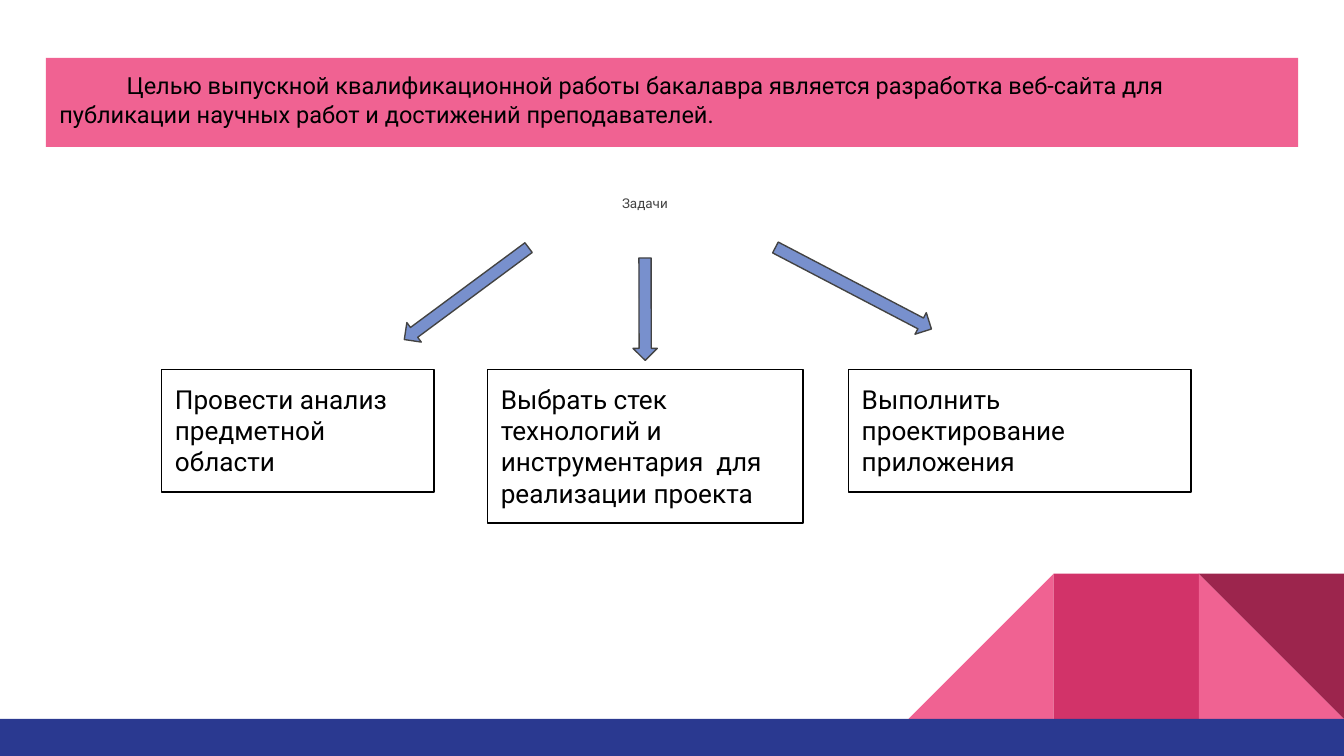
from pptx import Presentation
from pptx.dml.color import RGBColor
from pptx.enum.shapes import MSO_SHAPE as Preset
from pptx.enum.text import MSO_ANCHOR as Anchor, MSO_AUTO_SIZE as AutoSize, PP_ALIGN as Align
from pptx.util import Pt

WHITE = RGBColor(0xFF, 0xFF, 0xFF)
BLACK = RGBColor(0x00, 0x00, 0x00)
GRAY = RGBColor(0x43, 0x43, 0x43)
PINK = RGBColor(0xF0, 0x62, 0x92)
CRIMSON = RGBColor(0xD2, 0x33, 0x69)
MAROON = RGBColor(0x9C, 0x25, 0x4D)
NAVY = RGBColor(0x2A, 0x39, 0x90)
BLUE = RGBColor(0x78, 0x90, 0xCD)

FONT = "Roboto"
SLIDE_WIDTH, SLIDE_HEIGHT = 720, 405
BAND_TOP = 385.1
TILE = 77.75
TASK_TOP = 198

GOAL = ("Целью выпускной квалификационной работы бакалавра является разработка "
        "веб-сайта для публикации научных работ и достижений преподавателей.")
TASKS = [
    (86.6, 146, 65.5, "Провести анализ предметной области"),
    (261.2, 169, 82.3, "Выбрать стек технологий и инструментария  для реализации проекта"),
    (454.6, 183.4, 65.5, "Выполнить проектирование приложения"),
]
ARROWS = [
    (243.4, 115.9, 82.8, 233.5),
    (339.1, 138.2, 54.9, 179.9),
    (450.7, 107.3, 94.3, 117.6),
]


def add_block(slide, preset, left, top, width, height, fill=None, line=None, rotation=0):
    block = slide.shapes.add_shape(preset, Pt(left), Pt(top), Pt(width), Pt(height))
    block.shadow.inherit = False
    block.rotation = rotation
    if fill is None:
        block.fill.background()
    else:
        block.fill.solid()
        block.fill.fore_color.rgb = fill
    if line is None:
        block.line.fill.background()
    else:
        block.line.color.rgb = line
        block.line.width = Pt(0.75)
    return block


def write_text(frame, text, size, color, align=Align.LEFT, auto_size=AutoSize.NONE):
    frame.word_wrap = True
    frame.auto_size = auto_size
    frame.vertical_anchor = Anchor.TOP
    frame.margin_left = frame.margin_right = Pt(7.2)
    frame.margin_top = frame.margin_bottom = Pt(7.2)
    paragraph = frame.paragraphs[0]
    paragraph.alignment = align
    run = paragraph.add_run()
    run.text = text
    run.font.name = FONT
    run.font.size = Pt(size)
    run.font.color.rgb = color
    return paragraph


def add_decor(slide):
    tiles = [
        (3, Preset.RIGHT_TRIANGLE, PINK, 270),
        (2, Preset.RECTANGLE, CRIMSON, 0),
        (1, Preset.RIGHT_TRIANGLE, PINK, 0),
        (1, Preset.RIGHT_TRIANGLE, MAROON, 180),
    ]
    for from_right, preset, color, rotation in tiles:
        add_block(slide, preset, SLIDE_WIDTH - from_right * TILE, BAND_TOP - TILE,
                  TILE, TILE, color, rotation=rotation)
    add_block(slide, Preset.RECTANGLE, 0, BAND_TOP, SLIDE_WIDTH, SLIDE_HEIGHT - BAND_TOP, NAVY)


def add_goal(slide):
    goal = slide.shapes.title
    goal.left, goal.top, goal.width, goal.height = Pt(24.6), Pt(31), Pt(670.8), Pt(47.7)
    goal.fill.solid()
    goal.fill.fore_color.rgb = PINK
    paragraph = write_text(goal.text_frame, GOAL, 12.6, BLACK)
    properties = paragraph._p.get_or_add_pPr()
    properties.set("marL", "0")
    properties.set("indent", str(Pt(36)))


def add_heading(slide):
    heading = slide.shapes.add_textbox(Pt(10), Pt(97.9), Pt(671), Pt(34.6))
    paragraph = write_text(heading.text_frame, "Задачи", 7.2, GRAY, Align.CENTER)
    paragraph.line_spacing = 0.95
    paragraph.space_after = Pt(12)


def add_arrow(slide, left, top, length, rotation):
    arrow = add_block(slide, Preset.UP_ARROW, left, top, 13, length, BLUE, GRAY, rotation)
    arrow.adjustments[0] = 0.5
    arrow.adjustments[1] = 0.5


def add_task(slide, left, width, height, text):
    task = add_block(slide, Preset.RECTANGLE, left, TASK_TOP, width, height, line=BLACK)
    write_text(task.text_frame, text, 14, BLACK, auto_size=AutoSize.SHAPE_TO_FIT_TEXT)


def main():
    deck = Presentation()
    deck.slide_width, deck.slide_height = Pt(SLIDE_WIDTH), Pt(SLIDE_HEIGHT)
    slide = deck.slides.add_slide(deck.slide_layouts[5])
    slide.background.fill.solid()
    slide.background.fill.fore_color.rgb = WHITE
    add_decor(slide)
    add_goal(slide)
    add_heading(slide)
    for arrow in ARROWS:
        add_arrow(slide, *arrow)
    for task in TASKS:
        add_task(slide, *task)
    deck.save("out.pptx")


if __name__ == "__main__":
    main()
